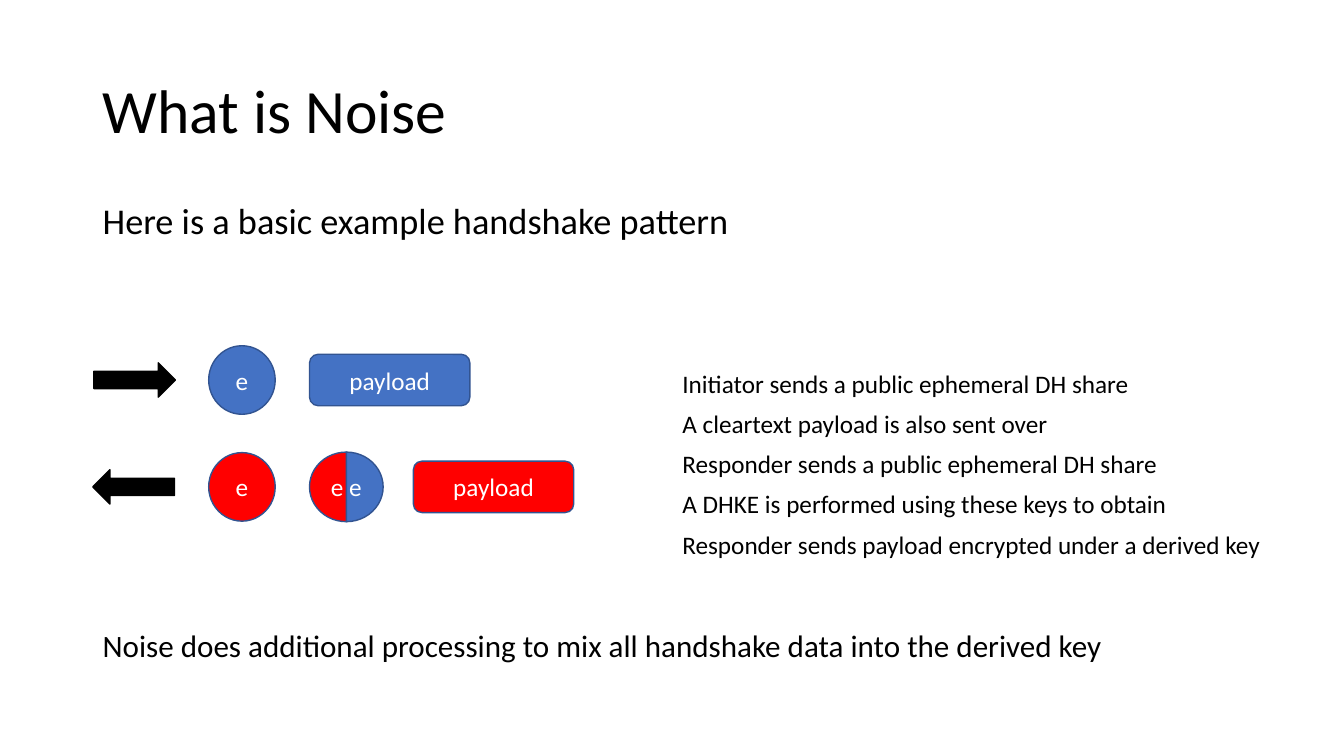
"""Build the slide that explains a basic Noise handshake pattern."""
from pptx import Presentation
from pptx.dml.color import RGBColor
from pptx.enum.shapes import MSO_SHAPE as SHAPE
from pptx.enum.text import MSO_ANCHOR as ANCHOR, PP_ALIGN as ALIGN
from pptx.util import Inches, Pt


def rgb(value):
    return RGBColor.from_string(value)


class Deck:
    """Holds the style and the current slide."""
    FONT = "Calibri"
    BLACK, WHITE = "000000", "FFFFFF"
    INITIATOR, RESPONDER, OUTLINE = "4472C4", "FF0000", "325491"

    def __init__(self):
        self.prs = Presentation()
        self.prs.slide_width = Inches(13.33)
        self.prs.slide_height = Inches(7.5)
        self.s = self.prs.slides.add_slide(self.prs.slide_layouts[6])

    def fill_text(self, tf, text, size, color, spacing=1.0):
        tf.text = text
        p = tf.paragraphs[0]
        p.line_spacing = spacing
        for r in p.runs:
            r.font.name = self.FONT
            r.font.size = Pt(size)
            r.font.color.rgb = rgb(color)
        return p

    def text(self, x, y, w, h, text, size, spacing=1.0, wrap=True, anchor=ANCHOR.TOP):
        sp = self.s.shapes.add_textbox(Inches(x), Inches(y), Inches(w), Inches(h))
        tf = sp.text_frame
        tf.word_wrap = wrap
        tf.vertical_anchor = anchor
        self.fill_text(tf, text, size, self.BLACK, spacing)

    def shape(self, kind, x, middle, w, h, fill, line=OUTLINE, text="", rotation=0):
        sp = self.s.shapes.add_shape(
            kind, Inches(x), Inches(middle - h / 2), Inches(w), Inches(h))
        sp.shadow.inherit = False
        sp.fill.solid()
        sp.fill.fore_color.rgb = rgb(fill)
        sp.line.color.rgb = rgb(line)
        sp.line.width = Pt(1)
        sp.rotation = rotation
        if text:
            tf = sp.text_frame
            tf.margin_left = tf.margin_right = 0
            tf.vertical_anchor = ANCHOR.MIDDLE
            self.fill_text(tf, text, 18, self.WHITE).alignment = ALIGN.CENTER
        return sp

    def arrow(self, x, middle, rotation):
        self.shape(SHAPE.RIGHT_ARROW, x, middle, 0.81, 0.34,
                   self.BLACK, self.BLACK, rotation=rotation)

    def key(self, middle, fill):
        self.shape(SHAPE.OVAL, 2.07, middle, 0.66, 0.68, fill, text="e")

    def payload(self, x, middle, fill):
        self.shape(SHAPE.ROUNDED_RECTANGLE, x, middle, 1.59, 0.51, fill, text="payload")

    def shared_key(self, x, middle):
        for fill, text, rotation in ((self.INITIATOR, "", 180), (self.RESPONDER, "e e", 0)):
            sp = self.shape(SHAPE.PIE, x, middle, 0.73, 0.69, fill,
                            text=text, rotation=rotation)
            sp.adjustments[0] = 54
            sp.adjustments[1] = 162


STEPS = (
    ("Initiator sends a public ephemeral DH share", 4.68),
    ("A cleartext payload is also sent over", 3.94),
    ("Responder sends a public ephemeral DH share", 5.09),
    ("A DHKE is performed using these keys to obtain", 5.21),
    ("Responder sends payload encrypted under a derived key", 6.03),
)


def main():
    deck = Deck()
    deck.text(0.92, 0.4, 11.5, 1.45, "What is Noise", 44, 0.9, anchor=ANCHOR.MIDDLE)
    deck.text(0.92, 2, 11.5, 0.5, "Here is a basic example handshake pattern", 25.9, 0.8)
    deck.text(0.92, 6.24, 11.5, 0.5,
              "Noise does additional processing to mix all handshake data into the derived key",
              22.2, 0.8)

    request, reply = 3.77, 4.83
    deck.arrow(0.93, request, 0)
    deck.key(request, deck.INITIATOR)
    deck.payload(3.07, request, deck.INITIATOR)
    deck.arrow(0.92, reply, 180)
    deck.key(reply, deck.RESPONDER)
    deck.shared_key(3.07, reply)
    deck.payload(4.1, reply, deck.RESPONDER)

    for i, (step, width) in enumerate(STEPS):
        deck.text(6.67, 3.6 + i * 0.4, width, 0.4, step, 18, wrap=False)

    deck.prs.save("out.pptx")


if __name__ == "__main__":
    main()
